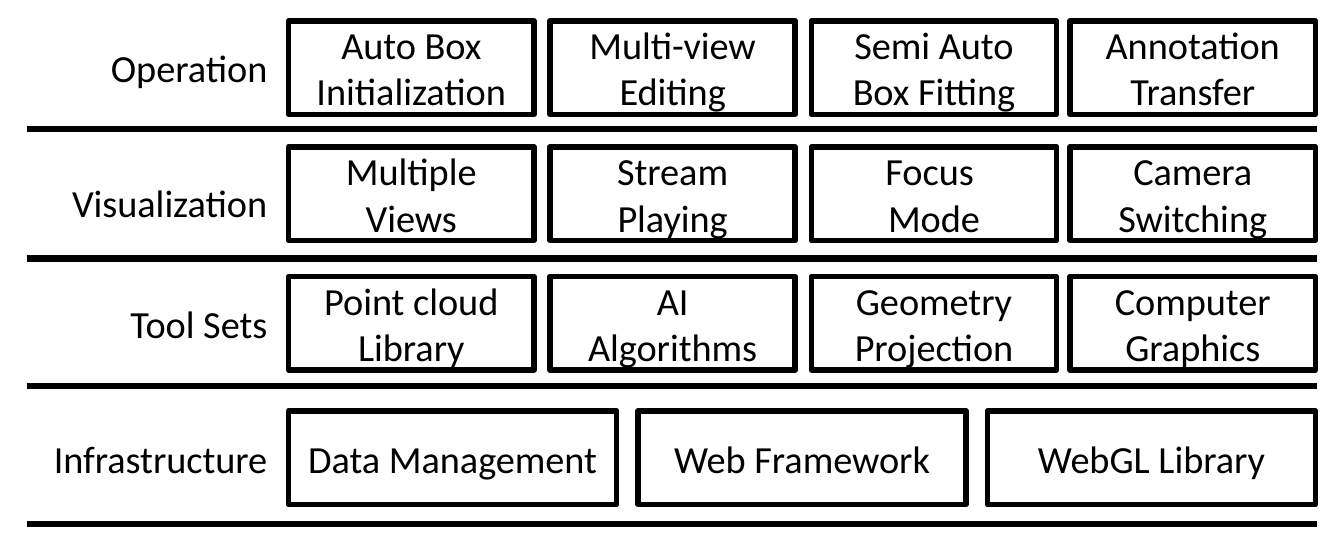
import pptx
import pptx.dml.color
import pptx.enum.shapes
import pptx.enum.text
import pptx.oxml.ns
import pptx.util
from lxml import etree

Pt = pptx.util.Pt
ALIGN = pptx.enum.text.PP_ALIGN
BLACK = pptx.dml.color.RGBColor(0x00, 0x00, 0x00)
WHITE = pptx.dml.color.RGBColor(0xFF, 0xFF, 0xFF)

FONT_FORMAT = {"name": "Calibri", "size": Pt(15.4)}
FRAME_FORMAT = {
    "word_wrap": True,
    "vertical_anchor": pptx.enum.text.MSO_ANCHOR.MIDDLE,
    "margin_left": Pt(7.2),
    "margin_right": Pt(7.2),
    "margin_top": Pt(3.6),
    "margin_bottom": Pt(3.6),
}

BOX_HEIGHT = 37.6
LABEL_RIGHT = 114.5
RULE_LEFT, RULE_RIGHT = 10.8, 529.2
FOUR_COLUMNS = ([116, 221, 326, 430], 98.6)
THREE_COLUMNS = ([116, 256.4, 396.8], 131.8)

# label, label width, label top, box top, rule position, columns, box texts
LAYERS = [
    ("Operation", 110, 8.4, 8.4, 51.7, FOUR_COLUMNS,
     ["Auto Box Initialization", "Multi-view\nEditing",
      "Semi Auto\nBox Fitting", "Annotation\nTransfer"]),
    ("Visualization", 117, 62.6, 59, 103.8, FOUR_COLUMNS,
     ["Multiple\nViews", "Stream Playing", "Focus \nMode", "Camera Switching"]),
    ("Tool Sets", 110, 111, 111, 155, FOUR_COLUMNS,
     ["Point cloud Library", "AI\nAlgorithms",
      "Geometry Projection", "Computer\nGraphics"]),
    ("Infrastructure", 117, 165, 165, 210.3, THREE_COLUMNS,
     ["Data Management", "Web Framework", "WebGL Library"]),
]


def set_attributes(target, values):
    for name, value in values.items():
        setattr(target, name, value)


def write_text(shape, text, alignment):
    """Fill the shape with one paragraph for each line of text."""
    frame = shape.text_frame
    set_attributes(frame, FRAME_FORMAT)
    frame.text = text
    for para in frame.paragraphs:
        para.alignment = alignment
        for span in para.runs:
            set_attributes(span.font, FONT_FORMAT)
            span.font.color.rgb = BLACK


def add_box(page, left, top, width, text):
    box = page.shapes.add_shape(
        pptx.enum.shapes.MSO_SHAPE.RECTANGLE,
        Pt(left), Pt(top), Pt(width), Pt(BOX_HEIGHT))
    box.shadow.inherit = False
    box.fill.solid()
    box.fill.fore_color.rgb = WHITE
    box.line.color.rgb = BLACK
    box.line.width = Pt(2.25)
    write_text(box, text, ALIGN.CENTER)


def add_label(page, top, width, text):
    label = page.shapes.add_textbox(
        Pt(LABEL_RIGHT - width), Pt(top), Pt(width), Pt(BOX_HEIGHT))
    write_text(label, text, ALIGN.RIGHT)


def add_rule(page, position):
    rule = page.shapes.add_connector(
        pptx.enum.shapes.MSO_CONNECTOR.STRAIGHT,
        Pt(RULE_LEFT), Pt(position), Pt(RULE_RIGHT), Pt(position))
    rule.line.color.rgb = BLACK
    rule.line.width = Pt(2.5)
    properties = rule.element.find(pptx.oxml.ns.qn("p:spPr"))
    etree.SubElement(properties, pptx.oxml.ns.qn("a:effectLst"))


def main():
    deck = pptx.Presentation()
    deck.slide_width, deck.slide_height = Pt(540), Pt(216)
    page = deck.slides.add_slide(deck.slide_layouts.get_by_name("Blank"))
    for label, label_width, label_top, top, position, columns, texts in LAYERS:
        lefts, width = columns
        add_label(page, label_top, label_width, label)
        for left, text in zip(lefts, texts):
            add_box(page, left, top, width, text)
        add_rule(page, position)
    deck.save("out.pptx")


if __name__ == "__main__":
    main()
